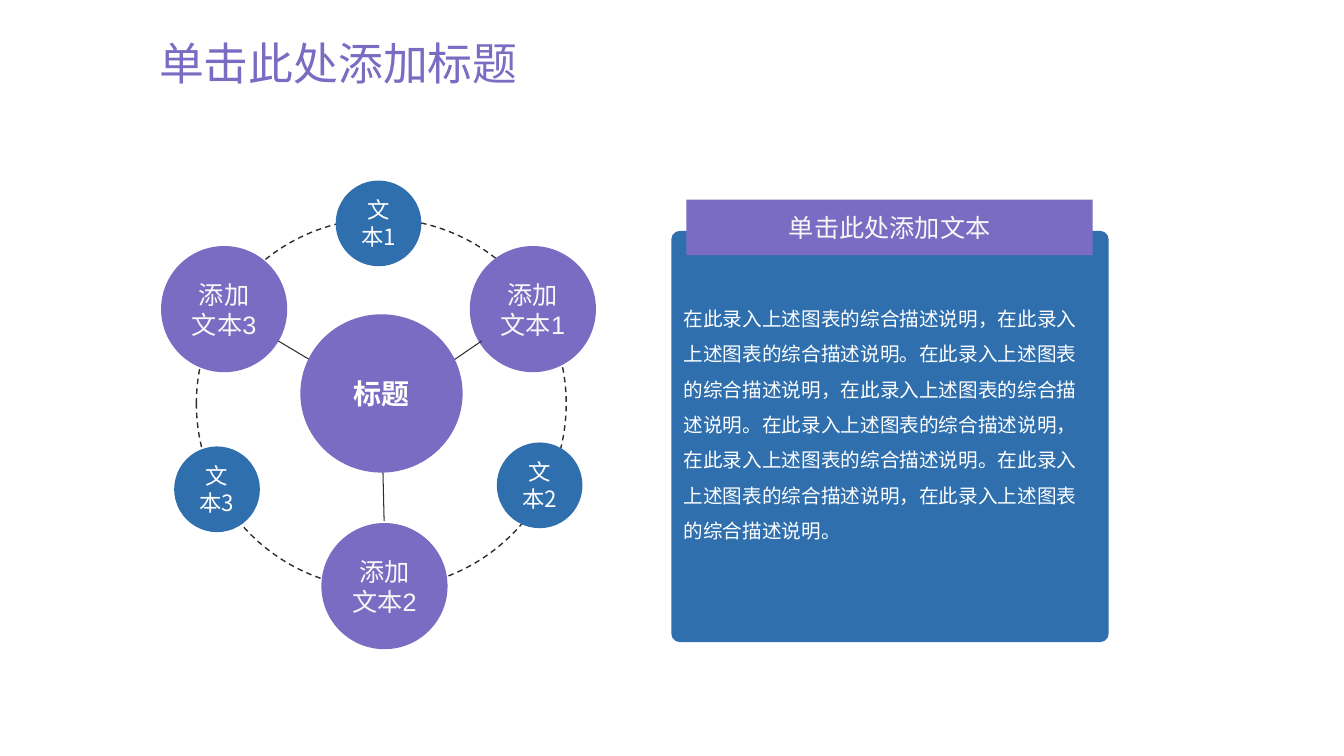
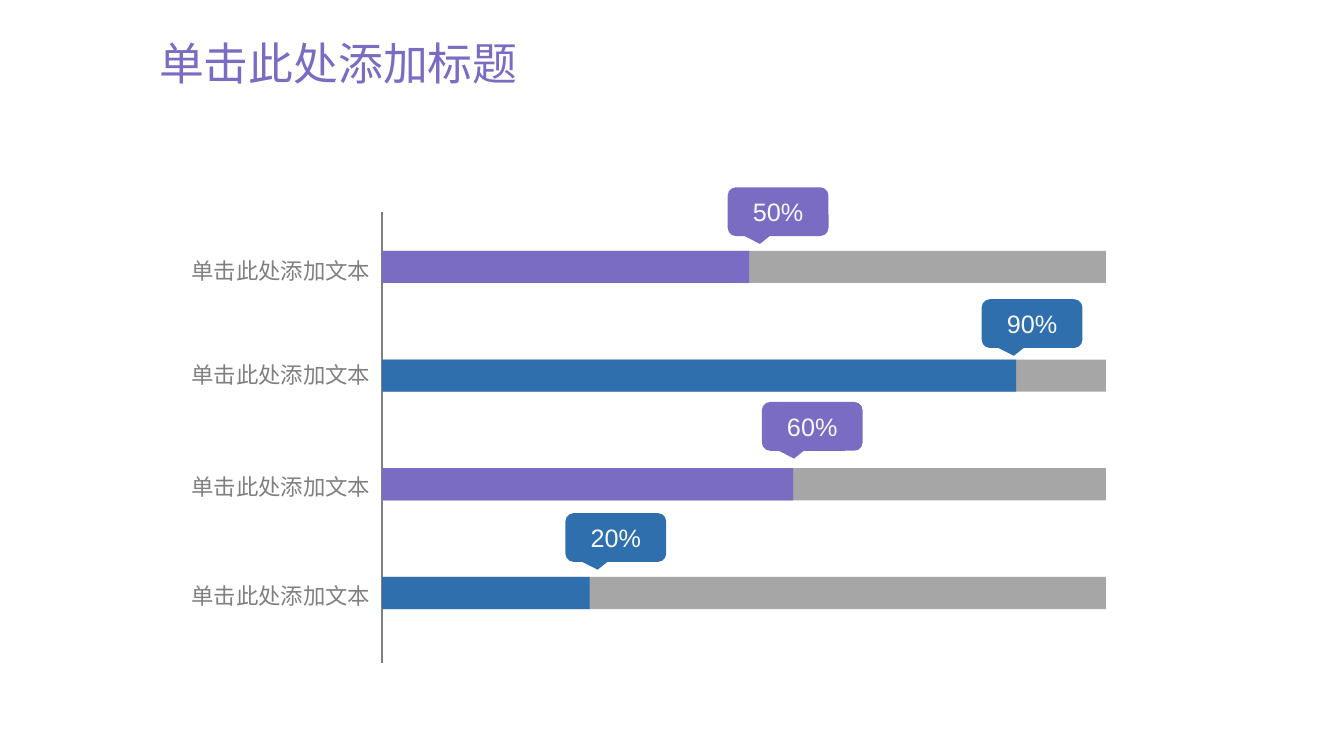
from lxml.etree import SubElement
from pptx import Presentation
from pptx.dml.color import RGBColor
from pptx.enum.dml import MSO_LINE
from pptx.enum.shapes import MSO_CONNECTOR, MSO_SHAPE
from pptx.enum.text import MSO_ANCHOR, PP_ALIGN
from pptx.oxml.ns import qn
from pptx.util import Cm, Pt

PURPLE = RGBColor(0x79, 0x6C, 0xC2)
BLUE = RGBColor(0x2F, 0x6F, 0xAD)
GREY = RGBColor(0xA6, 0xA6, 0xA6)
MID_GREY = RGBColor(0x80, 0x80, 0x80)
DARK = RGBColor(0x2B, 0x2E, 0x30)
WHITE = RGBColor(0xFF, 0xFF, 0xFF)
OFF_WHITE = RGBColor(0xF8, 0xF8, 0xF8)

CJK = "Noto Sans CJK SC"
TITLE = "单击此处添加标题"
PROMPT = "单击此处添加文本"

# Slide 1 content: text, left, top (cm)
SENTENCE = "在此录入上述图表的综合描述说明"
DESCRIPTION = f"{SENTENCE}，{SENTENCE}。" * 4
LARGE_NODES = [("添加文本3", 4.06, 6.2), ("添加文本1", 11.84, 6.2),
               ("添加文本2", 8.1, 13.18)]
SMALL_NODES = [("文本1", 8.46, 4.55), ("文本2", 12.52, 11.15),
               ("文本3", 4.39, 11.25)]
SPOKES = [(9.68, 13.13, 9.65, 11.86), (12.14, 8.59, 11.15, 9.27),
          (7.01, 8.59, 8.15, 9.27)]

# Slide 2 content: value, bar length, label top, callout left and top (cm)
BARS = [("50%", 9.25, 6.35, 18.34, 4.72),
        ("90%", 15.98, 8.97, 24.74, 7.54),
        ("60%", 10.36, 11.81, 19.2, 10.13),
        ("20%", 5.23, 14.55, 14.25, 12.93)]
AXIS_X, BAR_TOP, BAR_PITCH = 9.63, 6.32, 2.74
TRACK_W, BAR_H = 18.24, 0.81


def write(sp, text, size, color, font="Arial", align=PP_ALIGN.CENTER,
          anchor=MSO_ANCHOR.MIDDLE, bold=False, spacing=None):
    tf = sp.text_frame
    tf.word_wrap = True
    tf.vertical_anchor = anchor
    tf.text = text
    p = tf.paragraphs[0]
    p.alignment = align
    if spacing:
        p.line_spacing = spacing
    r = p.runs[0]
    r.font.name = font
    SubElement(r.font._element, qn("a:ea")).set("typeface", CJK)
    r.font.size = Pt(size)
    r.font.bold = bold
    r.font.color.rgb = color


def add_box(s, kind, x, y, w, h, fill=None):
    sp = s.shapes.add_shape(kind, Cm(x), Cm(y), Cm(w), Cm(h))
    sp.shadow.inherit = False
    sp.line.fill.background()
    if fill is None:
        sp.fill.background()
    else:
        sp.fill.solid()
        sp.fill.fore_color.rgb = fill
    return sp


def add_text(s, x, y, w, h, text, size, color, **style):
    sp = s.shapes.add_textbox(Cm(x), Cm(y), Cm(w), Cm(h))
    write(sp, text, size, color, **style)


def add_line(s, x1, y1, x2, y2, color, width):
    line = s.shapes.add_connector(MSO_CONNECTOR.STRAIGHT,
                                  Cm(x1), Cm(y1), Cm(x2), Cm(y2))
    line.line.color.rgb = color
    line.line.width = Pt(width)
    SubElement(line._element.spPr, qn("a:effectLst"))


def new_slide(prs):
    s = prs.slides.add_slide(prs.slide_layouts[6])
    add_text(s, 3.76, 0.91, 29.21, 1.5, TITLE, 32, PURPLE,
             font="Montserrat", align=PP_ALIGN.LEFT, spacing=0.9)
    return s


def build_cycle(prs):
    s = new_slide(prs)

    # Description panel
    panel = add_box(s, MSO_SHAPE.ROUNDED_RECTANGLE, 16.92, 5.82, 11.02, 10.36, BLUE)
    panel.adjustments[0] = 0.02
    write(panel, DESCRIPTION, 14, WHITE, align=PP_ALIGN.LEFT, spacing=1.5)
    panel.text_frame.margin_bottom = Cm(1.02)
    header = add_box(s, MSO_SHAPE.RECTANGLE, 17.3, 5.03, 10.24, 1.4, PURPLE)
    write(header, PROMPT, 18, OFF_WHITE)

    # Dashed ring
    ring = add_box(s, MSO_SHAPE.OVAL, 4.95, 5.51, 9.32, 9.32)
    ring.line.color.rgb = DARK
    ring.line.width = Pt(1)
    ring.line.dash_style = MSO_LINE.DASH

    # Nodes on the ring
    for nodes, d, fill, size, color, font in (
            (LARGE_NODES, 3.18, PURPLE, 18, OFF_WHITE, "Arial"),
            (SMALL_NODES, 2.16, BLUE, 16, WHITE, CJK)):
        for text, x, y in nodes:
            node = add_box(s, MSO_SHAPE.OVAL, x, y, d, d, fill)
            write(node, text, size, color, font=font)

    # Spokes and hub
    for ends in SPOKES:
        add_line(s, *ends, DARK, 0.75)
    hub = add_box(s, MSO_SHAPE.OVAL, 7.57, 7.92, 4.09, 3.99, PURPLE)
    write(hub, "标题", 20, WHITE, bold=True)


def build_bars(prs):
    s = new_slide(prs)
    add_line(s, AXIS_X, 5.33, AXIS_X, 16.71, MID_GREY, 1)

    for i, (value, length, label_y, tip_x, tip_y) in enumerate(BARS):
        fill = (PURPLE, BLUE)[i % 2]
        y = BAR_TOP + i * BAR_PITCH
        # Track, filled part and label
        for width, color in ((TRACK_W, GREY), (length, fill)):
            add_box(s, MSO_SHAPE.RECTANGLE, AXIS_X, y, width, BAR_H, color)
        add_text(s, 3.38, label_y, 6.2, 0.94, PROMPT, 16, MID_GREY, font=CJK,
                 align=PP_ALIGN.RIGHT, anchor=MSO_ANCHOR.TOP)
        # Value callout
        tip = add_box(s, MSO_SHAPE.ROUNDED_RECTANGULAR_CALLOUT,
                      tip_x, tip_y, 2.54, 1.23, fill)
        for k, adj in enumerate((-0.18, 0.66, 0.17)):
            tip.adjustments[k] = adj
        write(tip, value, 18, OFF_WHITE)


def main():
    prs = Presentation()
    prs.slide_width, prs.slide_height = Cm(33.87), Cm(19.05)
    build_cycle(prs)
    build_bars(prs)
    prs.save("out.pptx")


if __name__ == "__main__":
    main()
